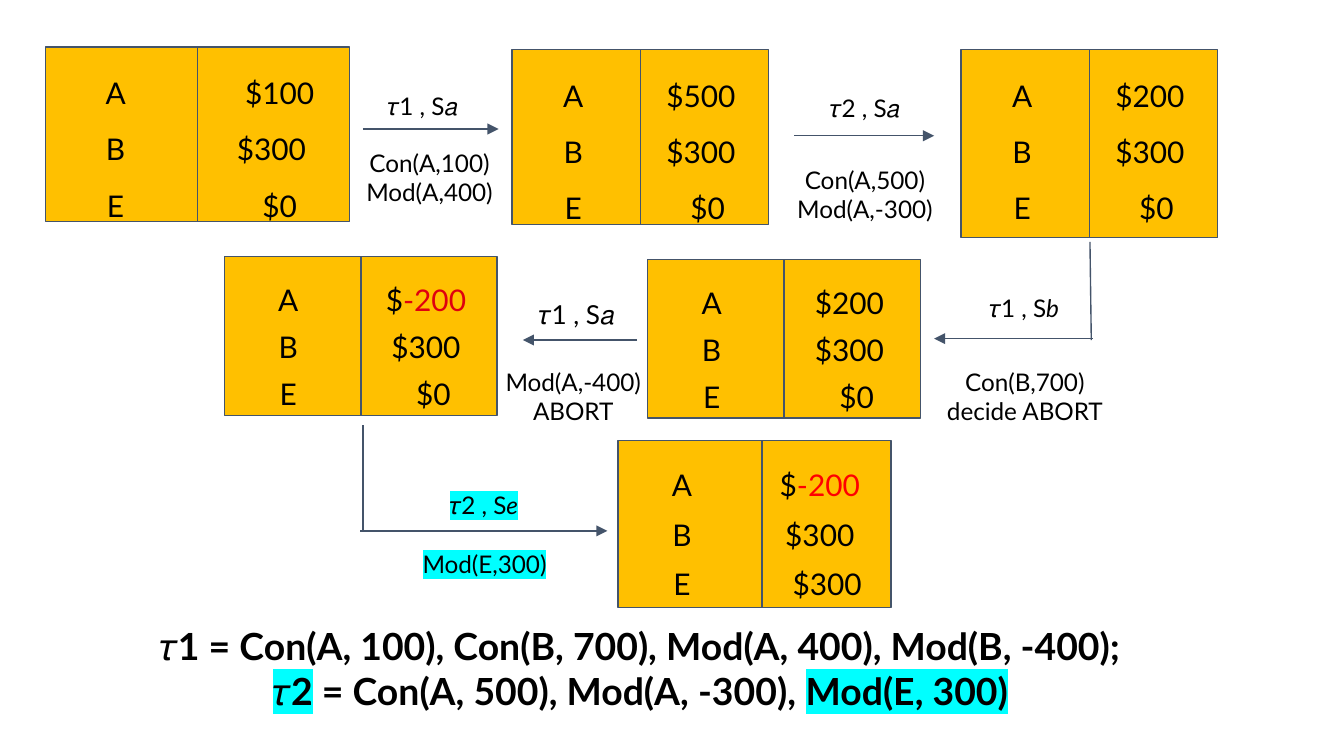
from lxml import etree
from pptx import Presentation
from pptx.dml.color import RGBColor
from pptx.enum.shapes import MSO_CONNECTOR as Connector, MSO_SHAPE as Shape
from pptx.enum.text import MSO_AUTO_SIZE as AutoSize, PP_ALIGN as Align
from pptx.oxml.ns import qn
from pptx.util import Inches, Pt

COLORS = {
    "box": "FFC000",
    "line": "44546A",
    "text": "000000",
    "debt": "DF000F",
    "final_debt": "FF0000",
    "marker": "00FFFF",
}
ITALIC = {"italic": True}
MARKED = {"highlight": "marker"}


class Diagram:
    font = {"name": "Lato", "color": "text"}
    inset = 0.1
    line_width = Pt(0.75)
    accounts = ("A", "B", "E")

    def __init__(self, slide):
        self.shapes = slide.shapes

    def rgb(self, key):
        return RGBColor.from_string(COLORS[key])

    def style_line(self, line):
        line.color.rgb = self.rgb("line")
        line.width = self.line_width

    def box(self, left, top, width, height):
        box = self.shapes.add_shape(Shape.RECTANGLE, *map(Inches, (left, top, width, height)))
        box.shadow.inherit = False
        box.fill.solid()
        box.fill.fore_color.rgb = self.rgb("box")
        self.style_line(box.line)
        return box

    def line(self, start, end, arrow=False):
        line = self.shapes.add_connector(Connector.STRAIGHT, *map(Inches, (*start, *end)))
        self.style_line(line.line)
        properties = line._element.spPr
        if arrow:
            etree.SubElement(properties.find(qn("a:ln")), qn("a:tailEnd"), type="triangle")
        etree.SubElement(properties, qn("a:effectLst"))
        return line

    def style_run(self, run, formats):
        for name, value in formats.items():
            if name == "color":
                run.font.color.rgb = self.rgb(value)
            elif name == "highlight":
                highlight = etree.Element(qn("a:highlight"))
                etree.SubElement(highlight, qn("a:srgbClr"), val=COLORS[value])
                run.font._element.find(qn("a:solidFill")).addnext(highlight)
            else:
                setattr(run.font, name, value)

    def text(self, left, top, width, height, *lines, **formats):
        """Each line is a string or a list of (text, formats) runs."""
        frame = self.shapes.add_textbox(*map(Inches, (left, top, width, height))).text_frame
        frame.word_wrap = True
        frame.auto_size = AutoSize.SHAPE_TO_FIT_TEXT
        for side in ("left", "top", "right", "bottom"):
            setattr(frame, f"margin_{side}", Inches(self.inset))
        for index, line in enumerate(lines):
            paragraph = frame.add_paragraph() if index else frame.paragraphs[0]
            paragraph.alignment = Align.CENTER
            for words, run_formats in [(line, {})] if isinstance(line, str) else line:
                run = paragraph.add_run()
                run.text = words
                self.style_run(run, {**self.font, **formats, **run_formats})

    def state(self, left, top, width, height, pitch, label_width, amounts, amount_widths, divider=None):
        """Database state: account names left of a divider, amounts right of it."""
        box = self.box(left, top, width, height)
        x = left + (divider or width / 2)
        rule = self.line((x, top), (x, top + height))
        if divider is None:
            rule.begin_connect(box, 0)
            rule.end_connect(box, 2)
        right = left + width - 0.11
        for row, (account, amount, amount_width) in enumerate(zip(self.accounts, amounts, amount_widths)):
            y = top + (row + 0.25) * pitch
            self.text(left + 0.11, y, label_width, 0.47, account, size=Pt(16))
            self.text(right - amount_width, y, amount_width, 0.47, amount, size=Pt(16))

    def note(self, left, top, width, *lines, size=13, **formats):
        height = 0.2 + 0.22 * len(lines)
        self.text(left, top, width, height, *lines, size=Pt(size), **formats)


def main():
    deck = Presentation()
    deck.slide_width, deck.slide_height = Inches(10), Inches(10 * 9 / 16)
    diagram = Diagram(deck.slides.add_slide(deck.slide_layouts[6]))

    debt = [("$", {}), ("-200", {"color": "debt"})]
    final_debt = [("$", {}), ("-200", {"color": "final_debt"})]
    narrow, wide = (0.79, 0.79, 0.69), (0.84, 0.84, 0.73)

    states = (
        (0.34, 0.35, 2.26, 1.3, 0.42, 0.82, ("$100", "$300", "$0"), (0.82, 0.94, 0.82)),
        (3.81, 0.37, 1.91, 1.3, 0.42, 0.69, ("$500", "$300", "$0"), narrow),
        (7.15, 0.37, 1.91, 1.4, 0.42, 0.69, ("$200", "$300", "$0"), narrow),
        (4.82, 1.93, 2.03, 1.18, 0.35, 0.73, ("$200", "$300", "$0"), wide),
        (1.67, 1.91, 2.03, 1.18, 0.35, 0.73, (debt, "$300", "$0"), wide),
        (4.6, 3.28, 2.03, 1.24, 0.37, 0.73, (final_debt, "$300", "$300"), wide, 1.07),
    )
    for state in states:
        diagram.state(*state)

    arrows = (
        ((2.7, 0.96), (3.71, 0.96)),
        ((5.91, 1.01), (6.95, 1.01)),
        ((8.13, 2.52), (6.95, 2.52)),
        ((4.74, 2.53), (3.89, 2.53)),
        ((2.68, 3.95), (4.52, 3.95)),
    )
    for start, end in arrows:
        diagram.line(start, end, arrow=True)
    diagram.line((8.11, 1.8), (8.12, 2.53))
    diagram.line((2.7, 3.95), (2.7, 3.16))

    diagram.note(2.19, 0.58, 1.91, "𝜏1 , S𝑎")
    diagram.note(2.24, 1, 1.91, "Con(A,100)", "Mod(A,400)")
    diagram.note(5.46, 0.59, 1.95, "𝜏2 , S𝑎")
    diagram.note(5.48, 1.13, 1.91, "Con(A,500)", "Mod(A,-300)")
    diagram.note(6.98, 2.08, 1.28, [("𝜏1 , S", {}), ("b", ITALIC)])
    diagram.note(6.89, 2.63, 1.47, "Con(B,700)", "decide ABORT")
    diagram.note(3.65, 2.12, 1.28, "𝜏1 , S𝑎", size=14)
    diagram.note(3.53, 2.63, 1.47, "Mod(A,-400)", "ABORT")
    diagram.note(2.96, 3.55, 1.28, [("𝜏2 , S", {}), ("e", ITALIC)], **MARKED)
    diagram.note(2.87, 3.99, 1.47, "Mod(E,300)", **MARKED)

    diagram.text(
        0.83, 4.54, 7.87, 0.88,
        "𝜏1 = Con(A, 100), Con(B, 700), Mod(A, 400), Mod(B, -400);",
        [("𝜏2", MARKED), (" = Con(A, 500), Mod(A, -300), ", {}), ("Mod(E, 300)", MARKED)],
        size=Pt(20), bold=True,
    )
    deck.save("out.pptx")


if __name__ == "__main__":
    main()
